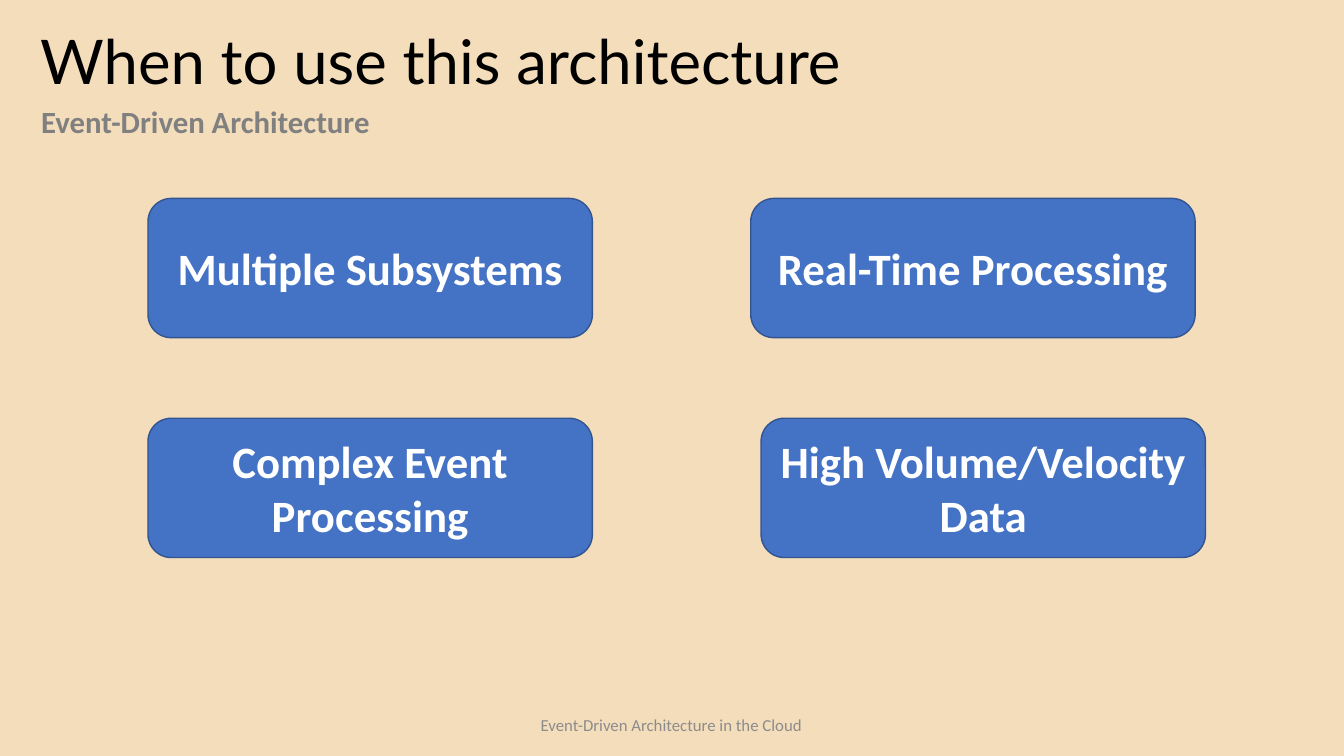
from pptx import Presentation
from pptx.dml.color import RGBColor
from pptx.enum.shapes import MSO_SHAPE
from pptx.enum.text import MSO_ANCHOR, PP_ALIGN
from pptx.util import Cm, Pt

ROUNDED = MSO_SHAPE.ROUNDED_RECTANGLE
MIDDLE = MSO_ANCHOR.MIDDLE
LEFT, CENTER = PP_ALIGN.LEFT, PP_ALIGN.CENTER

SAND = RGBColor(0xF4, 0xDD, 0xBB)
BLACK = RGBColor(0x00, 0x00, 0x00)
GRAY = RGBColor(0x80, 0x80, 0x80)
FOOTER_GRAY = RGBColor(0x8C, 0x8C, 0x8C)
BLUE = RGBColor(0x44, 0x72, 0xC4)
DARK_BLUE = RGBColor(0x32, 0x54, 0x91)
WHITE = RGBColor(0xFF, 0xFF, 0xFF)

CARD_W, CARD_H = 11.2, 3.51
CARDS = [  # text, left, top in cm
    ("Multiple Subsystems", 3.73, 5),
    ("Real-Time Processing", 18.92, 5),
    ("Complex Event Processing", 3.73, 10.54),
    ("High Volume/Velocity Data", 19.18, 10.54),
]


def set_text(sp, text, size, color, font="Calibri", bold=False, align=LEFT,
             spacing=1.0, wrap=True):
    tf = sp.text_frame
    tf.word_wrap = wrap
    tf.vertical_anchor = MIDDLE
    p = tf.paragraphs[0]
    p.text = text
    p.alignment = align
    p.line_spacing = spacing
    p.font.name = font
    p.font.size = Pt(size)
    p.font.bold = bold
    p.font.color.rgb = color


def add_title(s, text):
    sp = s.shapes.title
    sp.left, sp.top, sp.width, sp.height = Cm(0.76), Cm(0.61), Cm(32.31), Cm(2.03)
    set_text(sp, text, 44, BLACK, font="Lato", spacing=0.9)


def add_label(s, text, left, top, width, height, size, color, **style):
    sp = s.shapes.add_textbox(Cm(left), Cm(top), Cm(width), Cm(height))
    set_text(sp, text, size, color, **style)


def add_card(s, text, left, top):
    sp = s.shapes.add_shape(ROUNDED, Cm(left), Cm(top), Cm(CARD_W), Cm(CARD_H))
    sp.shadow.inherit = False
    sp.fill.solid()
    sp.fill.fore_color.rgb = BLUE
    sp.line.color.rgb = DARK_BLUE
    sp.line.width = Pt(1)
    set_text(sp, text, 32, WHITE, bold=True, align=CENTER)


def main():
    prs = Presentation()
    prs.slide_width, prs.slide_height = Cm(33.87), Cm(19.05)
    s = prs.slides.add_slide(prs.slide_layouts[5])
    s.background.fill.solid()
    s.background.fill.fore_color.rgb = SAND

    # Heading
    add_title(s, "When to use this architecture")
    add_label(s, "Event-Driven Architecture", 0.79, 2.64, 32.31, 1.02, 22, GRAY,
              bold=True, spacing=0.8)

    # Use cases
    for text, left, top in CARDS:
        add_card(s, text, left, top)

    # Footer
    add_label(s, "Event-Driven Architecture in the Cloud", 13.34, 17.88, 7.16, 0.76,
              12, FOOTER_GRAY, align=CENTER, wrap=False)

    prs.save("out.pptx")


if __name__ == "__main__":
    main()
